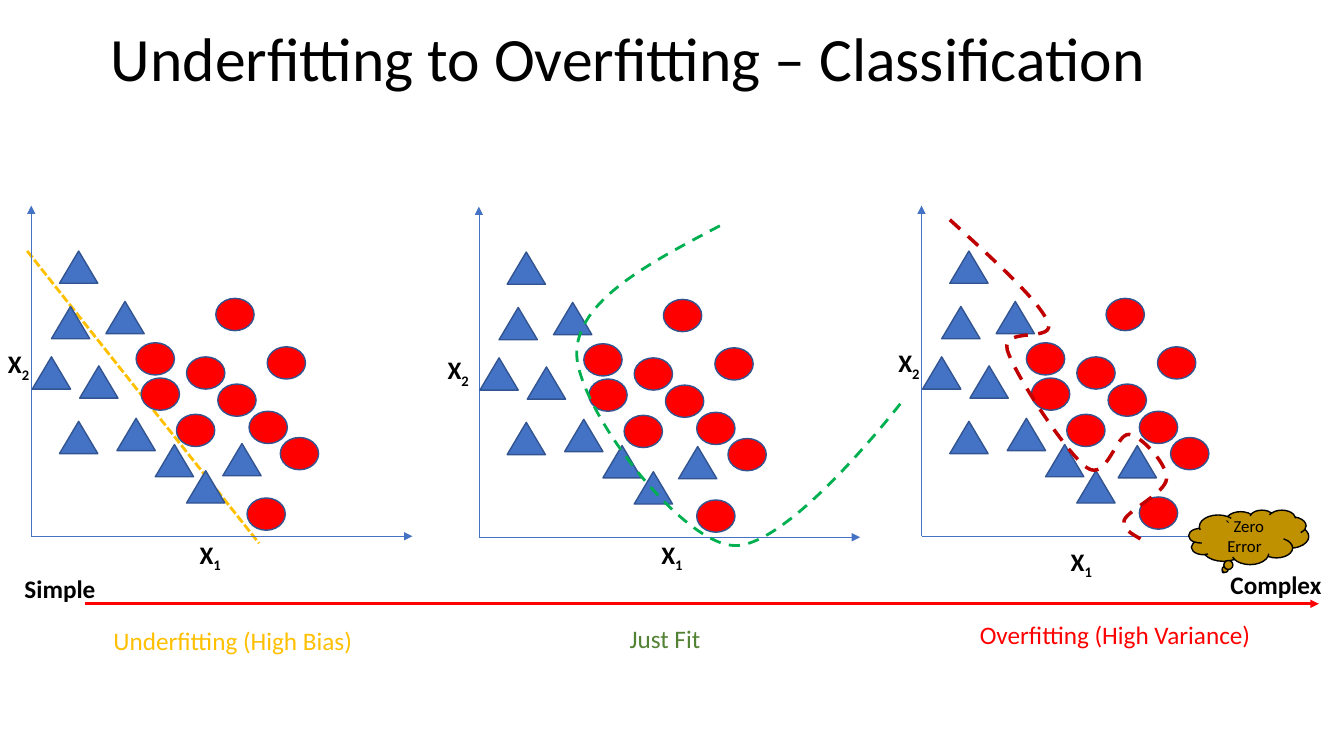
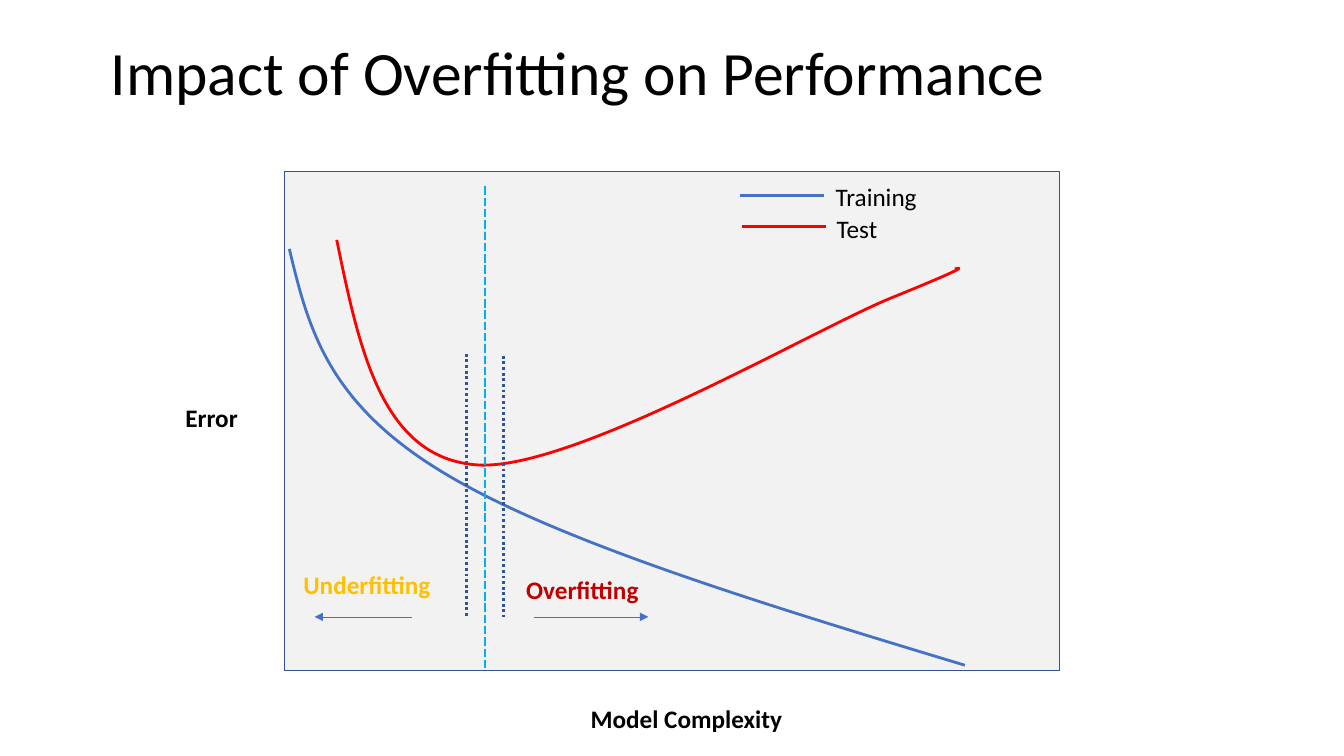
from lxml.etree import SubElement
from pptx import Presentation
from pptx.dml.color import RGBColor
from pptx.enum.dml import MSO_LINE
from pptx.enum.shapes import MSO_CONNECTOR, MSO_SHAPE
from pptx.enum.text import MSO_ANCHOR, MSO_AUTO_SIZE, PP_ALIGN
from pptx.oxml.ns import qn
from pptx.util import Pt

PX = 9144  # EMU per px, 100 px to the inch
FONT = "Calibri"
BLACK = RGBColor(0x00, 0x00, 0x00)
BLUE = RGBColor(0x44, 0x72, 0xC4)
EDGE = RGBColor(0x32, 0x54, 0x91)
NAVY = RGBColor(0x2F, 0x55, 0x97)
SKY = RGBColor(0x00, 0xB0, 0xF0)
RED = RGBColor(0xFF, 0x00, 0x00)
DARK_RED = RGBColor(0xC0, 0x00, 0x00)
AMBER = RGBColor(0xFF, 0xC0, 0x00)
OCHRE = RGBColor(0xBF, 0x90, 0x00)
GREEN = RGBColor(0x00, 0xB0, 0x50)
OLIVE = RGBColor(0x54, 0x82, 0x35)
GREY = RGBColor(0xF2, 0xF2, 0xF2)


def stroke(shapes, points, color, width=2, dash=None, arrow=False):
    """Draw two points as a straight line, or 3n + 1 points as a chain of cubic curves."""
    pts = [(x * PX, y * PX) for x, y in points]
    if len(pts) == 2:
        sp = shapes.add_connector(MSO_CONNECTOR.STRAIGHT, *pts[0], *pts[1])
    else:
        builder = shapes.build_freeform(*pts[0], scale=1)
        builder.add_line_segments(pts[3::3], close=False)
        sp = builder.convert_to_shape()
        sp.fill.background()
        for i, seg in enumerate(list(sp._element.iter(qn("a:lnTo")))):
            seg.tag = qn("a:cubicBezTo")
            for k, (x, y) in enumerate(pts[3 * i + 1:3 * i + 3]):
                control = {"x": str(x - sp.left), "y": str(y - sp.top)}
                seg.insert(k, seg.makeelement(qn("a:pt"), control))
    sp.line.color.rgb = color
    sp.line.width = Pt(width)
    if dash:
        sp.line.dash_style = dash
    spPr = sp._element.spPr
    if arrow:
        SubElement(spPr.find(qn("a:ln")), qn("a:tailEnd"), type="triangle")
    SubElement(spPr, qn("a:effectLst"))


def solid(shapes, kind, x, y, w, h, fill, edge=EDGE):
    sp = shapes.add_shape(kind, x * PX, y * PX, w * PX, h * PX)
    sp.shadow.inherit = False
    sp.fill.solid()
    sp.fill.fore_color.rgb = fill
    sp.line.color.rgb = edge
    sp.line.width = Pt(1)
    return sp


prs = Presentation()
prs.slide_width, prs.slide_height = 1333 * PX, 750 * PX

# Titles
slides = []
for title, height in [("Underfitting to Overfitting – Classification", 118),
                      ("Impact of Overfitting on Performance", 145)]:
    slide = prs.slides.add_slide(prs.slide_layouts[5])
    slides.append(slide)
    sp = slide.shapes.title
    sp.left, sp.top, sp.width, sp.height = 0, 2 * PX, 1333 * PX, height * PX
    tf = sp.text_frame
    tf.text = title
    for name, value in {"auto_size": MSO_AUTO_SIZE.NONE, "word_wrap": True,
                        "vertical_anchor": MSO_ANCHOR.MIDDLE,
                        "margin_left": 110 * PX}.items():
        setattr(tf, name, value)
    p = tf.paragraphs[0]
    p.alignment, p.line_spacing = PP_ALIGN.LEFT, 0.9
    p.font.name, p.font.size = FONT, Pt(44)
    p.font.color.rgb = BLACK
fits, impact = slides

# Classification: three scatter panels, from simple to complex
TRIANGLES = [(59, 249), (51, 304), (105, 299), (116, 415), (59, 418), (32, 354),
             (154, 441), (185, 467), (79, 363)]
CIRCLES = [(185, 354), (216, 381), (135, 340), (140, 375), (214, 296), (247, 408),
           (175, 411), (265, 344), (278, 434)]
PANELS = [(0, 0, (221, 440), (245, 494)),
          (444, 1, (673, 443), (691, 496)),
          (883, 0, (1109, 442), (1130, 493))]

stroke(fits.shapes, [(27, 249), (257, 539)], AMBER, 2, MSO_LINE.SQUARE_DOT)
for dx, dy, last_triangle, last_circle in PANELS:
    panel = fits.shapes.add_group_shape().shapes
    origin = (31 + dx, 532 + dy)
    for end in [(31 + dx, 204 + dy), (409 + dx, 532 + dy)]:
        stroke(panel, [origin, end], BLUE, 0.5, arrow=True)
    for kind, fill, places, last in [
            (MSO_SHAPE.ISOSCELES_TRIANGLE, BLUE, TRIANGLES, last_triangle),
            (MSO_SHAPE.OVAL, RED, CIRCLES, last_circle)]:
        for x, y in [(x + dx, y + dy) for x, y in places] + [last]:
            solid(panel, kind, x, y, 38, 32, fill)

stroke(fits.shapes, [(942, 218), (986, 258), (1030, 298), (1039, 319),
                     (1049, 341), (993, 323), (999, 347),
                     (1006, 371), (1058, 450), (1078, 464),
                     (1098, 478), (1107, 429), (1120, 431),
                     (1133, 433), (1158, 461), (1157, 475),
                     (1156, 489), (1119, 506), (1115, 516),
                     (1111, 526), (1130, 533), (1133, 536),
                     (1136, 539), (1136, 536), (1135, 534)], DARK_RED, 2.5, MSO_LINE.DASH)
stroke(fits.shapes, [(714, 224), (642, 262), (571, 299), (572, 352),
                     (574, 405), (671, 534), (725, 541),
                     (779, 549), (895, 398), (895, 398)], GREEN, 2, MSO_LINE.DASH)
stroke(fits.shapes, [(84, 599), (1308, 599)], RED, arrow=True)

cloud = solid(fits.shapes, MSO_SHAPE.CLOUD_CALLOUT, 1179, 506, 119, 54, OCHRE, BLACK)
tf = cloud.text_frame
tf.text = "` Zero Error"
tf.word_wrap, tf.vertical_anchor = True, MSO_ANCHOR.MIDDLE
p = tf.paragraphs[0]
p.alignment = PP_ALIGN.CENTER
p.font.name, p.font.size = FONT, Pt(12)
p.font.color.rgb = BLACK

# Performance: error against model complexity
solid(impact.shapes, MSO_SHAPE.RECTANGLE, 282, 170, 769, 495, GREY)
stroke(impact.shapes, [(287, 247), (305, 322), (323, 397), (435, 466),
                       (546, 535), (752, 598), (957, 660)], BLUE)
stroke(impact.shapes, [(334, 238), (356, 345), (378, 452), (470, 461),
                       (561, 471), (803, 329), (883, 296),
                       (962, 264), (954, 265), (947, 267)], RED)
stroke(impact.shapes, [(481, 185), (481, 665)], SKY, 2, MSO_LINE.SQUARE_DOT)
for x, y, color in [(734, 194, BLUE), (736, 225, RED)]:
    stroke(impact.shapes, [(x, y), (x + 83, y)], color)
for x, top in [(463, 351), (499, 353)]:
    stroke(impact.shapes, [(x, top), (x, 612)], NAVY, 2, MSO_LINE.ROUND_DOT)
for x1, x2 in [(530, 643), (409, 312)]:
    stroke(impact.shapes, [(x1, 612), (x2, 612)], BLUE, 0.5, arrow=True)

# Labels: slide, text, subscript, left, top, width, colour, bold
LABELS = [
    (fits, "Underfitting (High Bias)", "", 76, 615, 310, AMBER, False),
    (fits, "Just Fit", "", 537, 613, 245, OLIVE, False),
    (fits, "Overfitting (High Variance)", "", 951, 609, 310, RED, False),
    (fits, "Simple", "", -28, 564, 175, BLACK, True),
    (fits, "Complex", "", 1178, 560, 175, BLACK, True),
    (fits, "X", "1", 178, 530, 61, BLACK, True),
    (fits, "X", "2", -12, 341, 61, BLACK, True),
    (fits, "X", "1", 636, 530, 61, BLACK, True),
    (fits, "X", "2", 424, 347, 61, BLACK, True),
    (fits, "X", "2", 871, 340, 61, BLACK, True),
    (fits, "X", "1", 1042, 537, 61, BLACK, True),
    (impact, "Model Complexity", "", 576, 693, 347, BLACK, True),
    (impact, "Error", "", 174, 394, 75, BLACK, True),
    (impact, "Training", "", 819, 175, 138, BLACK, False),
    (impact, "Test", "", 820, 207, 83, BLACK, False),
    (impact, "Underfitting", "", 291, 560, 169, AMBER, True),
    (impact, "Overfitting", "", 512, 565, 169, DARK_RED, True),
]
for slide, text, subscript, x, y, w, color, bold in LABELS:
    tf = slide.shapes.add_textbox(x * PX, y * PX, w * PX, 40 * PX).text_frame
    tf.word_wrap, tf.auto_size = True, MSO_AUTO_SIZE.SHAPE_TO_FIT_TEXT
    p = tf.paragraphs[0]
    p.alignment = PP_ALIGN.CENTER if slide is fits else PP_ALIGN.LEFT
    for part in filter(None, (text, subscript)):
        r = p.add_run()
        r.text = part
        for name, value in {"name": FONT, "size": Pt(18), "bold": bold}.items():
            setattr(r.font, name, value)
        r.font.color.rgb = color
    if subscript:
        r._r.get_or_add_rPr().set("baseline", "-25000")

prs.save("out.pptx")
